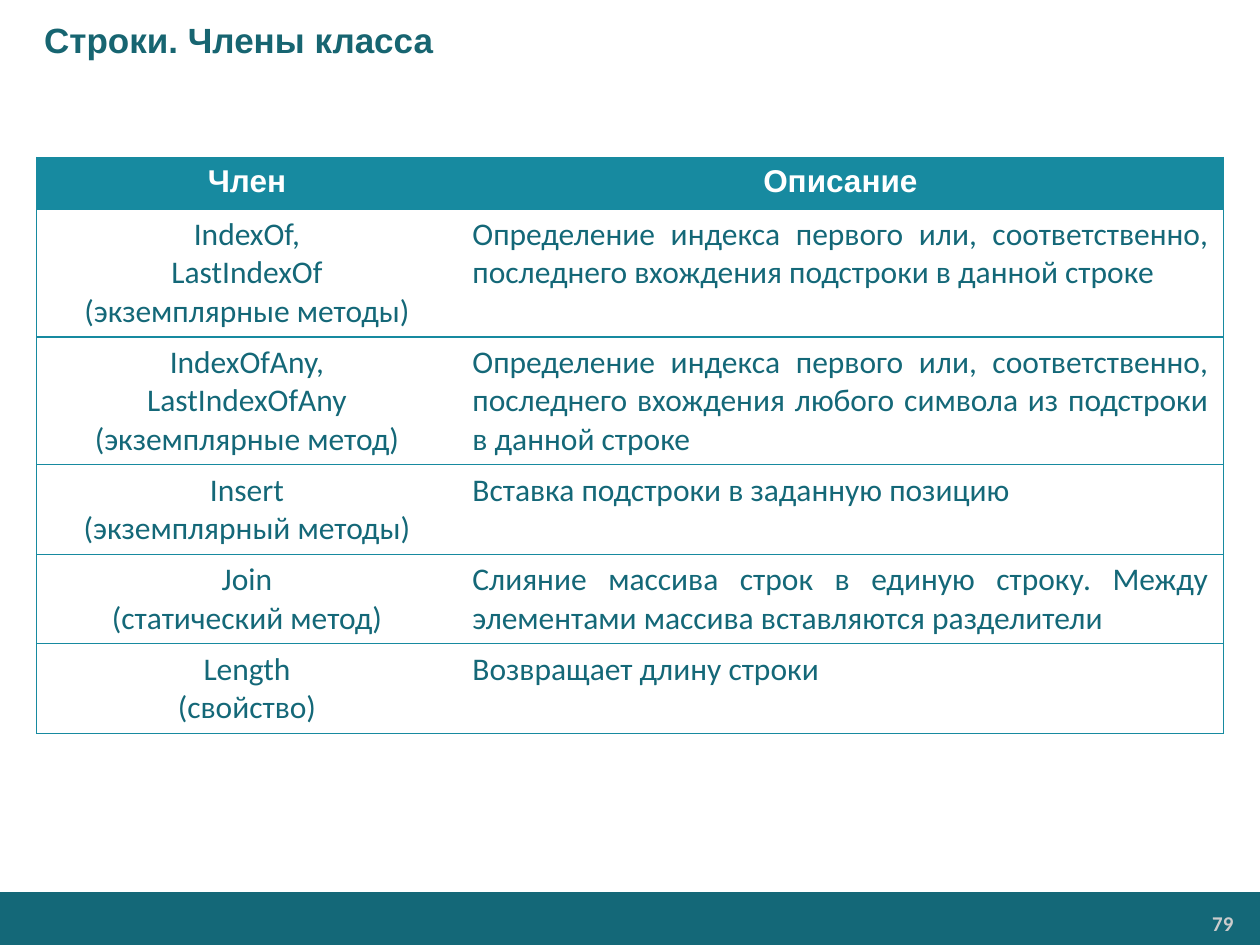
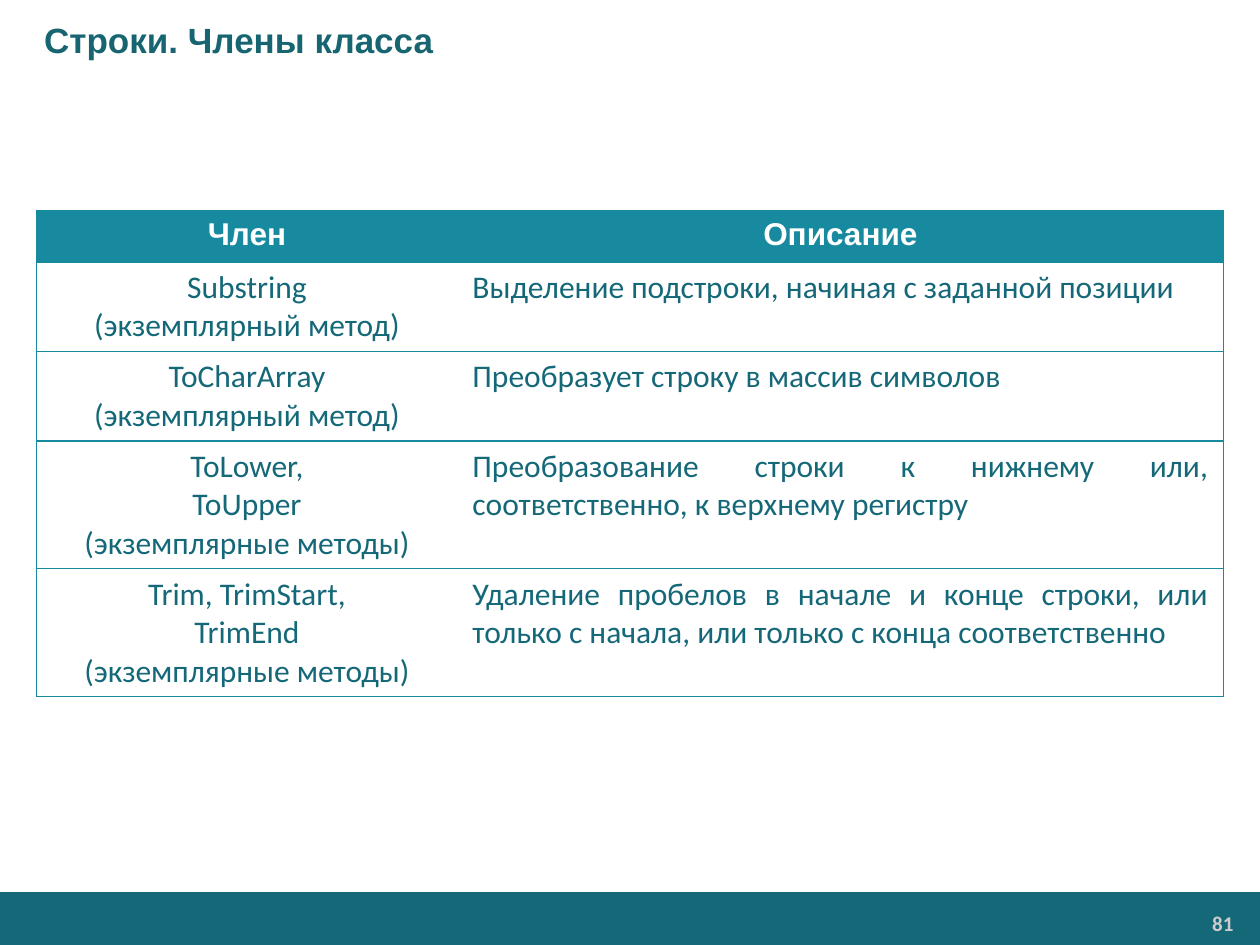
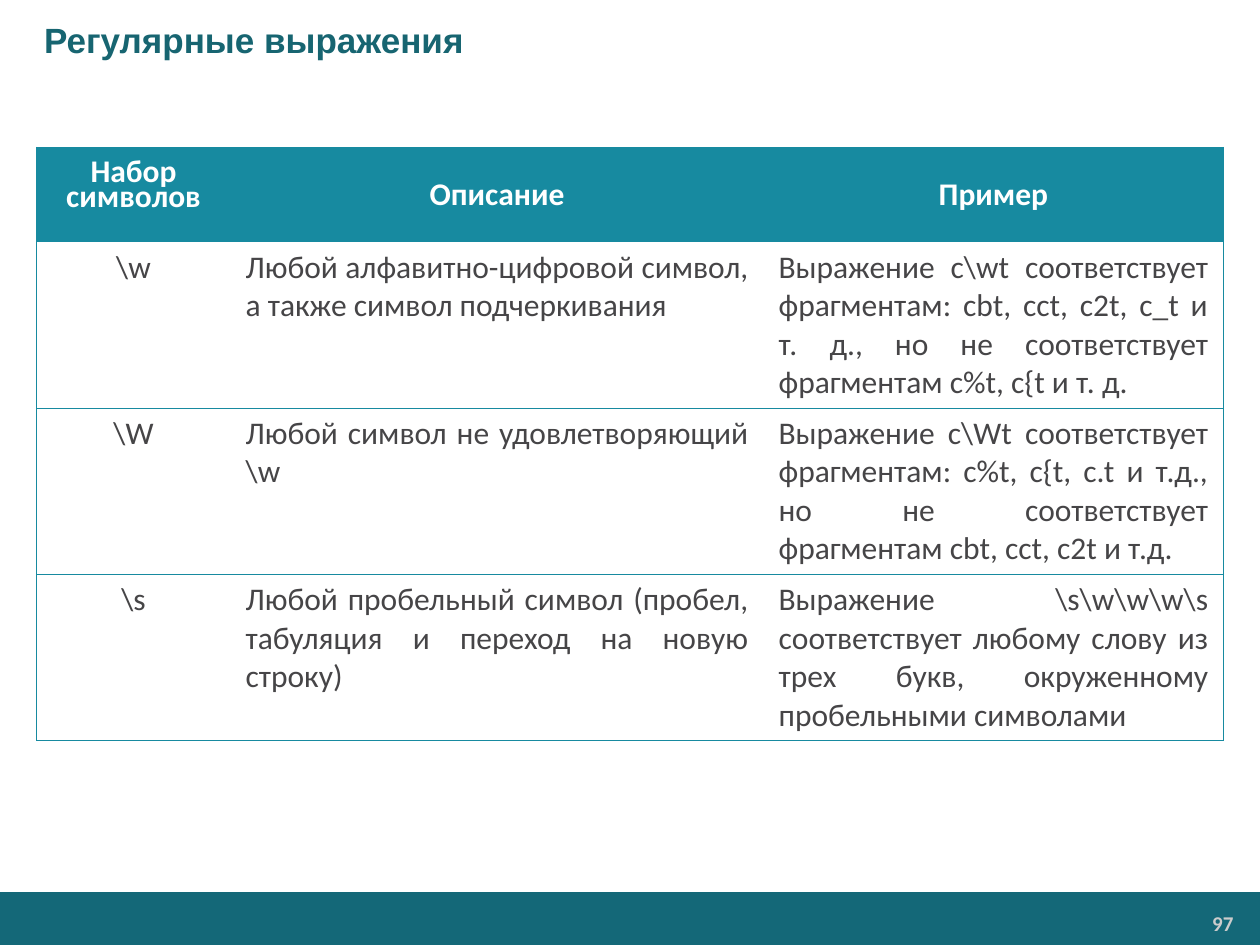
"""Build three slides with reference tables on string members and regular expressions."""
from dataclasses import dataclass

from lxml import etree
from pptx import Presentation
from pptx.dml.color import RGBColor
from pptx.enum.shapes import MSO_SHAPE
from pptx.enum.text import MSO_ANCHOR, PP_ALIGN
from pptx.oxml.ns import qn
from pptx.util import Inches, Pt

LEFT, CENTER, RIGHT, JUSTIFY = PP_ALIGN.LEFT, PP_ALIGN.CENTER, PP_ALIGN.RIGHT, PP_ALIGN.JUSTIFY
TOP, MIDDLE = MSO_ANCHOR.TOP, MSO_ANCHOR.MIDDLE
RECTANGLE = MSO_SHAPE.RECTANGLE


@dataclass(frozen=True)
class Theme:
    """Colours, fonts and sizes shared by the slides."""
    band: str = "146878"
    title: str = "176571"
    accent: str = "178AA0"
    gray: str = "464547"
    number: str = "CCCCCC"
    white: str = "FFFFFF"
    heading_font: str = "Arial"
    body_font: str = "Calibri"
    title_size: int = 20
    table_size: int = 18
    number_size: int = 12
    border_size: float = 0.75


THEME = Theme()
TABLE_LEFT = 0.29
LINE_HEIGHT = 0.305
CELL_INSETS = (0.12, 0.05, 0.12, 0.05)
TIGHT_INSETS = (0.09, 0, 0.09, 0)

MEMBER_STYLE = {
    "widths": (3.34, 6.08), "header_height": 0.41, "header_font": THEME.heading_font,
    "header_anchor": TOP, "body_color": THEME.band,
}
PATTERN_STYLE = {
    "widths": (1.54, 4.23, 3.65), "header_height": 0.75, "header_font": THEME.body_font,
    "header_anchor": MIDDLE, "body_color": THEME.gray,
}

SLIDES = [
    {
        "title": "Строки. Члены класса", "number": "79", "top": 1.25,
        "style": MEMBER_STYLE, "lines": (3, 3, 2, 2, 2),
        "header": ("Член", "Описание"),
        "rows": [
            ("IndexOf,\nLastIndexOf\n(экземплярные методы)",
             "Определение индекса первого или, соответственно, последнего вхождения "
             "подстроки в данной строке"),
            ("IndexOfAny,\nLastIndexOfAny\n(экземплярные метод)",
             "Определение индекса первого или, соответственно, последнего вхождения "
             "любого символа из подстроки в данной строке"),
            ("Insert\n(экземплярный методы)", "Вставка подстроки в заданную позицию"),
            ("Join\n(статический метод)",
             "Слияние массива строк в единую строку. Между элементами массива "
             "вставляются разделители"),
            ("Length\n(свойство)", "Возвращает длину строки"),
        ],
    },
    {
        "title": "Строки. Члены класса", "number": "81", "top": 1.67,
        "style": MEMBER_STYLE, "lines": (2, 2, 3, 3),
        "header": ("Член", "Описание"),
        "rows": [
            ("Substring\n(экземплярный метод)",
             "Выделение подстроки, начиная с заданной позиции"),
            ("ToCharArray\n(экземплярный метод)", "Преобразует строку в массив символов"),
            ("ToLower,\nToUpper\n(экземплярные методы)",
             "Преобразование строки к нижнему или, соответственно, к верхнему регистру"),
            ("Trim, TrimStart,\nTrimEnd\n(экземплярные методы)",
             "Удаление пробелов в начале и конце строки, или только с начала, "
             "или только с конца соответственно"),
        ],
    },
    {
        "title": "Регулярные выражения", "number": "97", "top": 1.17,
        "style": PATTERN_STYLE, "lines": (4, 4, 4),
        "header": ("Набор\nсимволов", "Описание", "Пример"),
        "rows": [
            (r"\w", "Любой алфавитно-цифровой символ, а также символ подчеркивания",
             r"Выражение c\wt соответствует фрагментам: cbt, cct, c2t, c_t и т. д., "
             "но не соответствует фрагментам c%t, c{t и т. д."),
            (r"\W", r"Любой символ не удовлетворяющий \w",
             r"Выражение c\Wt соответствует фрагментам: c%t, c{t, c.t и т.д., "
             "но не соответствует фрагментам cbt, cct, c2t и т.д."),
            (r"\s", "Любой пробельный символ (пробел, табуляция и переход на новую строку)",
             r"Выражение \s\w\w\w\s соответствует любому слову из трех букв, "
             "окруженному пробельными символами"),
        ],
    },
]


def set_all(target, values):
    """Set every named attribute on the target."""
    for name, value in values.items():
        setattr(target, name, value)


def set_insets(target, insets):
    """Set left, top, right and bottom margins in inches."""
    sides = ("margin_left", "margin_top", "margin_right", "margin_bottom")
    set_all(target, dict(zip(sides, map(Inches, insets))))


def write(frame, text, align, font, size, color, bold):
    """Write one paragraph per line of text in a single style."""
    frame.text = text
    for para in frame.paragraphs:
        para.alignment = align
        for span in para.runs:
            set_all(span.font, {"name": font, "size": Pt(size), "bold": bold})
            span.font.color.rgb = RGBColor.from_string(color)


def set_borders(cell, first, last):
    """Rule the cell above and below, and at the outer sides of the table."""
    properties = cell._tc.get_or_add_tcPr()
    edges = {"a:lnL": first, "a:lnR": last, "a:lnT": True, "a:lnB": True}
    for index, (tag, visible) in enumerate(edges.items()):
        line = etree.Element(qn(tag), w=str(Pt(THEME.border_size)))
        properties.insert(index, line)
        if visible:
            fill = etree.SubElement(line, qn("a:solidFill"))
            etree.SubElement(fill, qn("a:srgbClr"), val=THEME.accent)
        else:
            etree.SubElement(line, qn("a:noFill"))


def add_title(page, text):
    """Place and format the title placeholder."""
    box = page.shapes.title
    set_all(box, {"left": 0, "top": 0, "width": Inches(10), "height": Inches(0.63)})
    frame = box.text_frame
    frame.vertical_anchor = MIDDLE
    write(frame, text, LEFT, THEME.heading_font, THEME.title_size, THEME.title, True)
    set_all_xml = frame.paragraphs[0]._p.get_or_add_pPr()
    set_all_xml.set("marL", str(Inches(0.25)))
    set_all_xml.set("indent", "0")


def add_footer(page, number):
    """Draw the bottom band with the page number."""
    band = page.shapes.add_shape(RECTANGLE, 0, Inches(7.08), Inches(10), Inches(0.42))
    band.shadow.inherit = False
    band.fill.solid()
    band.fill.fore_color.rgb = RGBColor.from_string(THEME.band)
    band.line.fill.background()
    box = page.shapes.add_textbox(Inches(8.23), Inches(7.19), Inches(1.63), Inches(0.28))
    frame = box.text_frame
    frame.word_wrap = True
    set_insets(frame, (0.07, 0.04, 0.07, 0.04))
    write(frame, number, RIGHT, THEME.body_font, THEME.number_size, THEME.number, True)


def tighten(cell):
    """Set the lines of a two-line heading close together."""
    set_insets(cell, TIGHT_INSETS)
    for index, para in enumerate(cell.text_frame.paragraphs):
        set_all(para, {"line_spacing": Pt(10), "space_after": Pt(2)})
        if index:
            para.space_before = Pt(2)


def add_member_table(page, content):
    """Build the ruled table with a coloured heading row."""
    style = content["style"]
    rows = [content["header"], *content["rows"]]
    heights = [style["header_height"]]
    heights += [0.1 + LINE_HEIGHT * count for count in content["lines"]]
    widths = style["widths"]
    table = page.shapes.add_table(
        len(rows), len(widths), Inches(TABLE_LEFT), Inches(content["top"]),
        Inches(sum(widths)), Inches(sum(heights))).table
    for column, width in zip(table.columns, widths):
        column.width = Inches(width)
    for row_index, (texts, height) in enumerate(zip(rows, heights)):
        table.rows[row_index].height = Inches(height)
        heading = row_index == 0
        font = style["header_font"] if heading else THEME.body_font
        color = THEME.white if heading else style["body_color"]
        for column_index, text in enumerate(texts):
            cell = table.cell(row_index, column_index)
            align = CENTER if heading or column_index == 0 else JUSTIFY
            write(cell.text_frame, text, align, font, THEME.table_size, color, heading)
            set_insets(cell, CELL_INSETS)
            cell.vertical_anchor = style["header_anchor"] if heading else TOP
            cell.fill.solid()
            cell.fill.fore_color.rgb = RGBColor.from_string(
                THEME.accent if heading else THEME.white)
            set_borders(cell, column_index == 0, column_index == len(widths) - 1)
            if heading and "\n" in text:
                tighten(cell)


def main():
    """Create and save the deck."""
    deck = Presentation()
    set_all(deck, {"slide_width": Inches(10), "slide_height": Inches(7.5)})
    title_only = deck.slide_layouts.get_by_name("Title Only")
    for content in SLIDES:
        page = deck.slides.add_slide(title_only)
        add_footer(page, content["number"])
        add_title(page, content["title"])
        add_member_table(page, content)
    deck.save("out.pptx")


if __name__ == "__main__":
    main()
